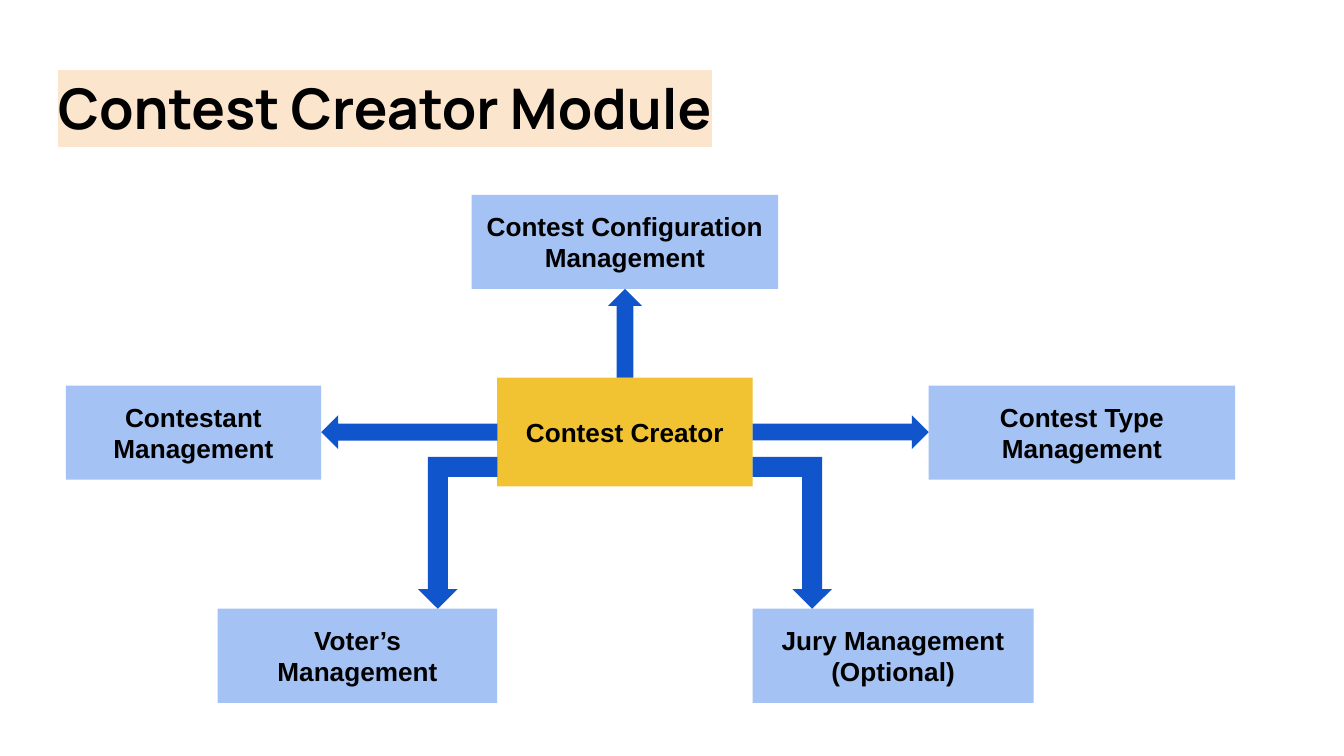
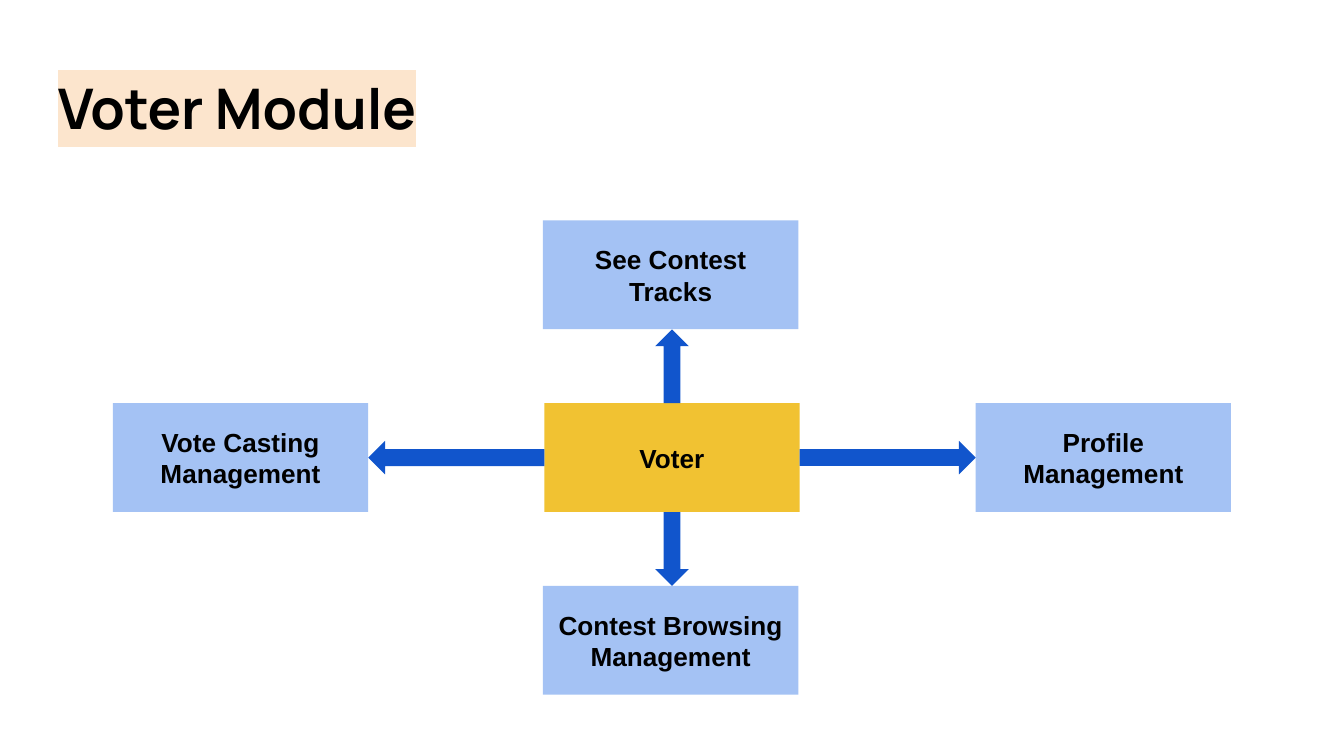
from dataclasses import dataclass

from lxml.etree import SubElement
from pptx import Presentation
from pptx.dml.color import RGBColor
from pptx.enum.shapes import MSO_SHAPE
from pptx.enum.text import MSO_ANCHOR, MSO_AUTO_SIZE, PP_ALIGN
from pptx.oxml.ns import qn
from pptx.util import Inches, Pt


@dataclass(frozen=True)
class Theme:
    hub: str = "F1C232"
    feature: str = "A4C2F4"
    arrow: str = "1155CC"
    highlight: str = "FCE5CD"
    text: str = "000000"
    title_font: str = "Manrope"
    label_font: str = "Arial"
    title_size: int = 30
    label_size: int = 14


THEME = Theme()
SLIDE_WIDTH = Inches(10)
SLIDE_HEIGHT = SLIDE_WIDTH * 9 // 16
ARROW_THICKNESS = Inches(0.25)
ELBOW_WIDTH = Inches(0.59)
ELBOW_RISE = Inches(0.22)
ROTATION = {"right": 0, "down": 90, "left": 180, "up": 270}


def add_text(paragraph, text, font_name, size):
    run = paragraph.add_run()
    run.text = text
    run.font.name = font_name
    run.font.size = Pt(size)
    run.font.bold = True
    run.font.color.rgb = RGBColor.from_string(THEME.text)
    return run


def highlight(run, color):
    """Put a highlight behind the run, right after its fill as the schema asks."""
    properties = run.font._element
    mark = SubElement(properties, qn("a:highlight"))
    SubElement(mark, qn("a:srgbClr")).set("val", color)
    properties.find(qn("a:solidFill")).addnext(mark)


def set_margins(frame):
    frame.word_wrap = True
    frame.margin_left = frame.margin_right = Inches(0.1)
    frame.margin_top = frame.margin_bottom = Inches(0.1)


def add_module_slide(presentation, heading):
    slide = presentation.slides.add_slide(presentation.slide_layouts[5])
    title = slide.shapes.title
    title.left, title.top = Inches(0.33), Inches(0.45)
    title.width, title.height = Inches(9.32), Inches(0.7)
    frame = title.text_frame
    frame.auto_size = MSO_AUTO_SIZE.NONE
    frame.vertical_anchor = MSO_ANCHOR.MIDDLE
    set_margins(frame)
    paragraph = frame.paragraphs[0]
    paragraph.alignment = PP_ALIGN.LEFT
    run = add_text(paragraph, heading, THEME.title_font, THEME.title_size)
    highlight(run, THEME.highlight)
    return slide


def add_filled(slide, preset, left, top, width, height, color):
    shape = slide.shapes.add_shape(preset, left, top, width, height)
    shape.shadow.inherit = False
    shape.fill.solid()
    shape.fill.fore_color.rgb = RGBColor.from_string(color)
    shape.line.fill.background()
    return shape


def add_box(slide, label, left, top, width, height, color=THEME.feature):
    """Add a labelled box; each line of the label becomes a paragraph."""
    box = add_filled(slide, MSO_SHAPE.RECTANGLE, Inches(left), Inches(top),
                     Inches(width), Inches(height), color)
    frame = box.text_frame
    frame.vertical_anchor = MSO_ANCHOR.MIDDLE
    set_margins(frame)
    for index, line in enumerate(label.split("\n")):
        paragraph = frame.add_paragraph() if index else frame.paragraphs[0]
        paragraph.alignment = PP_ALIGN.CENTER
        add_text(paragraph, line, THEME.label_font, THEME.label_size)
    return box


def add_straight_arrow(slide, hub, target, direction):
    """Fill the gap between hub and target with a block arrow centred on the hub."""
    center_x = hub.left + hub.width // 2
    center_y = hub.top + hub.height // 2
    first, second = (hub, target) if direction in ("right", "down") else (target, hub)
    if direction in ("left", "right"):
        start, end = first.left + first.width, second.left
        center_x = (start + end) // 2
    else:
        start, end = first.top + first.height, second.top
        center_y = (start + end) // 2
    length = end - start
    arrow = add_filled(slide, MSO_SHAPE.RIGHT_ARROW, center_x - length // 2,
                       center_y - ARROW_THICKNESS // 2, length,
                       ARROW_THICKNESS, THEME.arrow)
    arrow.rotation = ROTATION[direction]


def add_elbow_arrow(slide, hub, target, side):
    """Lead from the lower part of the hub's side down to the target's top."""
    top = hub.top + hub.height - ELBOW_RISE
    left = hub.left + hub.width if side == "right" else hub.left - ELBOW_WIDTH
    arrow = add_filled(slide, MSO_SHAPE.BENT_UP_ARROW, left, top,
                       ELBOW_WIDTH, target.top - top, THEME.arrow)
    arrow.rotation = 180
    if side == "right":
        arrow._element.spPr.find(qn("a:xfrm")).set("flipH", "1")


def add_contest_creator(presentation):
    slide = add_module_slide(presentation, "Contest Creator Module")
    height = 0.7
    creator = add_box(slide, "Contest Creator", 3.7, 2.81, 1.9, 0.81, THEME.hub)
    contest_type = add_box(slide, "Contest Type Management", 6.91, 2.87, 2.28, height)
    voters = add_box(slide, "Voter’s Management", 1.62, 4.53, 2.08, height)
    contestant = add_box(slide, "Contestant Management", 0.49, 2.87, 1.9, height)
    configuration = add_box(slide, "Contest Configuration Management",
                            3.51, 1.45, 2.28, height)
    jury = add_box(slide, "Jury Management\n(Optional)", 5.6, 4.53, 2.09, height)

    add_straight_arrow(slide, creator, contest_type, "right")
    add_straight_arrow(slide, creator, contestant, "left")
    add_straight_arrow(slide, creator, configuration, "up")
    add_elbow_arrow(slide, creator, voters, "left")
    add_elbow_arrow(slide, creator, jury, "right")


def add_voter(presentation):
    slide = add_module_slide(presentation, "Voter Module")
    size = (1.9, 0.81)
    left, top, reach_x, reach_y = 4.05, 3, 3.21, 1.36
    voter = add_box(slide, "Voter", left, top, *size, THEME.hub)
    features = [
        ("Profile Management", "right", left + reach_x, top),
        ("Contest Browsing Management", "down", left - 0.01, top + reach_y),
        ("Vote Casting Management", "left", left - reach_x, top),
        ("See Contest Tracks", "up", left - 0.01, top - reach_y),
    ]
    for label, direction, box_left, box_top in features:
        feature = add_box(slide, label, box_left, box_top, *size)
        add_straight_arrow(slide, voter, feature, direction)


def main():
    presentation = Presentation()
    presentation.slide_width = SLIDE_WIDTH
    presentation.slide_height = SLIDE_HEIGHT
    add_contest_creator(presentation)
    add_voter(presentation)
    presentation.save("out.pptx")


if __name__ == "__main__":
    main()
